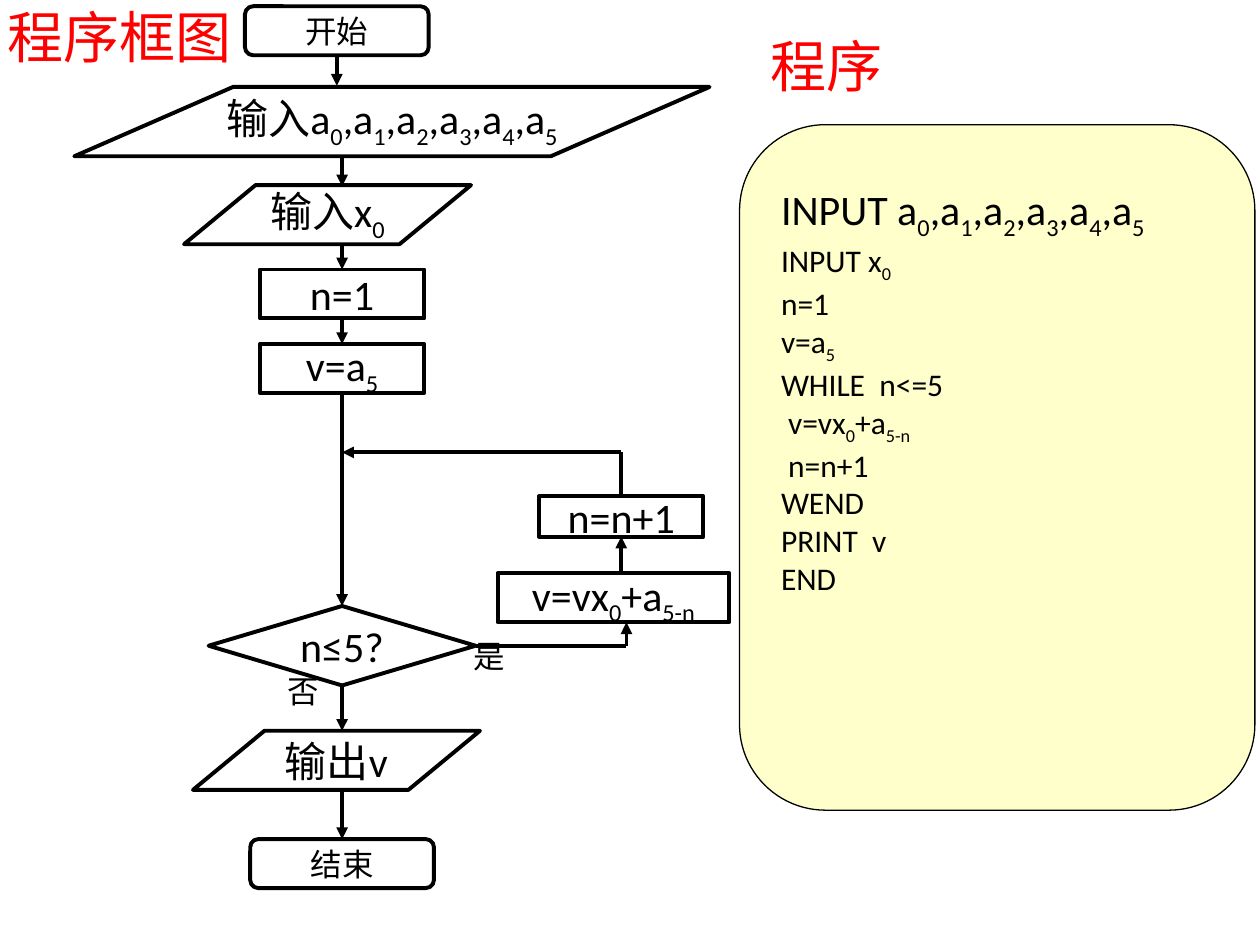
from lxml import etree
from pptx import Presentation
from pptx.dml.color import RGBColor
from pptx.enum.shapes import MSO_CONNECTOR, MSO_SHAPE
from pptx.enum.text import MSO_ANCHOR, MSO_AUTO_SIZE, PP_ALIGN
from pptx.oxml.ns import qn
from pptx.util import Pt

RECT = MSO_SHAPE.RECTANGLE
ROUND = MSO_SHAPE.ROUNDED_RECTANGLE
DIAMOND = MSO_SHAPE.DIAMOND
PARALLELOGRAM = MSO_SHAPE.PARALLELOGRAM
STRAIGHT = MSO_CONNECTOR.STRAIGHT
LEFT, CENTER = PP_ALIGN.LEFT, PP_ALIGN.CENTER
MIDDLE = MSO_ANCHOR.MIDDLE
FIT_SHAPE = MSO_AUTO_SIZE.SHAPE_TO_FIT_TEXT

BLACK = RGBColor(0, 0, 0)
RED = RGBColor(255, 0, 0)
CREAM = RGBColor(255, 255, 204)

FONT = "Calibri"
AXIS = 195.5  # centre of the main flow
LOOP_X = 355  # centre of the counter step in the loop
TOP, BOTTOM, RIGHT = 0, 2, 3
COEFFICIENTS = ",".join(f"a~{i}~" for i in range(6))

CODE = [
    "INPUT x~0~",
    "n=1",
    "v=a~5~",
    "WHILE  n<=5",
    " v=vx~0~+a~5-n~",
    " n=n+1",
    "WEND",
    "PRINT  v",
    "END",
]


def write(p, text, size=24, color=BLACK, align=LEFT):
    """Fill a paragraph; parts between tildes become subscripts."""
    p.alignment = align
    for i, part in enumerate(text.split("~")):
        if not part:
            continue
        r = p.add_run()
        r.text = part
        r.font.name = FONT
        r.font.size = Pt(size)
        r.font.color.rgb = color
        if i % 2:
            r.font._element.set("baseline", "-25000")


def add_label(s, text, x, y, w, h, **fmt):
    tf = s.shapes.add_textbox(Pt(x), Pt(y), Pt(w), Pt(h)).text_frame
    tf.word_wrap = True
    tf.auto_size = FIT_SHAPE
    write(tf.paragraphs[0], text, **fmt)
    return tf


def add_outline(s, kind, x, y, w, h, line_width=2.25):
    sp = s.shapes.add_shape(kind, Pt(x), Pt(y), Pt(w), Pt(h))
    sp.shadow.inherit = False
    sp.fill.background()
    sp.line.color.rgb = BLACK
    sp.line.width = Pt(line_width)
    return sp


def add_step(s, kind, text, center, y, w, h, slant=None, size=24):
    sp = add_outline(s, kind, center - w / 2, y, w, h)
    if slant:
        sp.adjustments[0] = slant
    tf = sp.text_frame
    tf.word_wrap = False
    tf.vertical_anchor = MIDDLE
    write(tf.paragraphs[0], text, size=size, align=CENTER)
    return sp


def add_line(s, start, end, begin=None, finish=None, arrow=True):
    """Draw a line; begin and finish are optional (shape, site) joints."""
    c = s.shapes.add_connector(STRAIGHT, *(Pt(v) for v in (*start, *end)))
    if begin:
        c.begin_connect(*begin)
    if finish:
        c.end_connect(*finish)
    c.line.color.rgb = BLACK
    c.line.width = Pt(2.25)
    if arrow:
        etree.SubElement(c.line._get_or_add_ln(), qn("a:tailEnd"), type="triangle")
    etree.SubElement(c._element.spPr, qn("a:effectLst"))


def add_flowchart(s):
    start = add_step(s, ROUND, "开始", 192.5, 3.6, 105, 28, size=18)
    add_step(s, PARALLELOGRAM, "输入" + COEFFICIENTS, 224, 49.7, 363, 39.6, slant=2.29)
    add_step(s, PARALLELOGRAM, "输入x~0~", 187.2, 105.8, 164, 33.8, slant=1.21)
    init_n = add_step(s, RECT, "n=1", AXIS, 154, 94, 28)
    init_v = add_step(s, RECT, "v=a~5~", AXIS, 196.6, 94, 28)
    test = add_step(s, DIAMOND, "n≤5?", AXIS, 346.3, 152.6, 45.4)
    update_v = add_step(s, RECT, "v=vx~0~+a~5-n~", 350.6, 327.6, 132.5, 28)
    update_n = add_step(s, RECT, "n=n+1", LOOP_X, 283.7, 94, 23)
    add_step(s, PARALLELOGRAM, "输出v", 192.3, 417.6, 164, 33.8, slant=1.21)
    end = add_step(s, ROUND, "结束", AXIS, 479.5, 105, 28, size=18)

    # Main flow
    add_line(s, (192.5, 31.6), (192.5, 49), begin=(start, BOTTOM))
    add_line(s, (AXIS, 90), (AXIS, 106.5))
    add_line(s, (AXIS, 139.7), (AXIS, 154), finish=(init_n, TOP))
    add_line(s, (AXIS, 182), (AXIS, 196.6), begin=(init_n, BOTTOM), finish=(init_v, TOP))
    add_line(s, (AXIS, 224.6), (AXIS, 346.3), begin=(init_v, BOTTOM), finish=(test, TOP))
    add_line(s, (AXIS, 391.7), (AXIS, 417.6), begin=(test, BOTTOM))
    add_line(s, (AXIS, 451.4), (AXIS, 479.5), finish=(end, TOP))

    # Loop
    add_line(s, (271.8, 369), (358, 369), begin=(test, RIGHT), arrow=False)
    add_line(s, (358, 369), (358, 355.6))
    add_line(s, (LOOP_X, 327.6), (LOOP_X, 306.7), finish=(update_n, BOTTOM))
    add_line(s, (LOOP_X, 283.7), (LOOP_X, 258.5), begin=(update_n, TOP), arrow=False)
    add_line(s, (LOOP_X, 258.5), (AXIS, 258.5))

    add_label(s, "否", 157, 380.2, 57, 28.8, size=18)
    add_label(s, "是", 263.5, 360.7, 57, 28.8, size=18)


def add_program(s):
    panel = add_outline(s, ROUND, 422.6, 71.3, 294.5, 391.7, line_width=0.75)
    panel.fill.solid()
    panel.fill.fore_color.rgb = CREAM
    tf = add_label(s, "INPUT " + COEFFICIENTS, 439.2, 101.5, 317.5, 243.4)
    for line in CODE:
        write(tf.add_paragraph(), line, size=18)


def main():
    prs = Presentation()
    prs.slide_width, prs.slide_height = Pt(720), Pt(540)
    s = prs.slides.add_slide(prs.slide_layouts[6])
    add_label(s, "程序框图", -2.9, -2.2, 175.7, 46, size=32, color=RED)
    add_flowchart(s)
    add_program(s)
    add_label(s, "程序", 433.4, 14.4, 102.2, 46, size=32, color=RED)
    prs.save("out.pptx")


if __name__ == "__main__":
    main()
